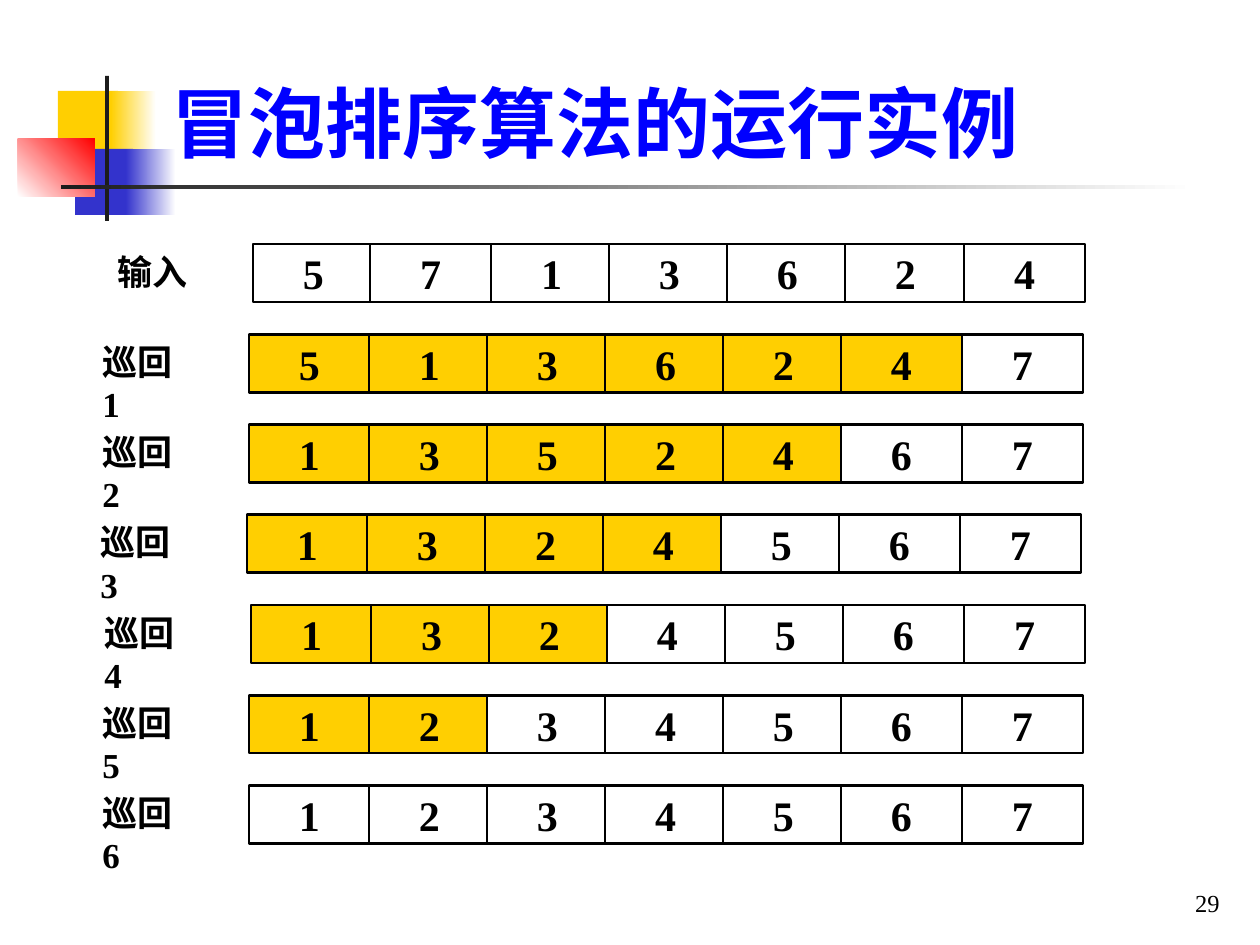
import pptx
import pptx.dml.color
import pptx.enum.shapes
import pptx.enum.text
import pptx.util

PX = 914400 // 126
FONT = "Times New Roman"
BLACK, WHITE, DARK = "000000", "FFFFFF", "1C1C1C"
YELLOW, BLUE, RED, TITLE_BLUE = "FFCF01", "3333CC", "FF0000", "0000FF"

CELL_WIDTH, CELL_HEIGHT = 121, 58
INPUT_OFFSETS = (0, 117, 238, 356, 474, 592, 711)
PASS_OFFSETS = (0, 120, 238, 356, 474, 592, 713)
ROWS_TOP, ROW_PITCH = 244, 90.25

# Label, values, number of values still unsorted, left edge of the cells
ROWS = [
    ("输入", "5713624", 0, 253),
    ("巡回1", "5136247", 6, 249),
    ("巡回2", "1352467", 5, 249),
    ("巡回3", "1324567", 4, 247),
    ("巡回4", "1324567", 3, 251),
    ("巡回5", "1234567", 2, 249),
    ("巡回6", "1234567", 0, 249),
]

# Left, top, width, height, start colour, end colour, angle
ORNAMENT = [
    (0, 15, 60, 66, YELLOW, None, 0),
    (53, 15, 45, 66, YELLOW, WHITE, 0),
    (17, 73, 58, 66, BLUE, None, 0),
    (68, 73, 50, 66, BLUE, WHITE, 0),
    (-40, 63, 77, 58, WHITE, RED, 45),
    (47, 0, 4, 145, DARK, None, 0),
    (3, 109, 1134, 4, DARK, WHITE, 0),
]


def color(code):
    return pptx.dml.color.RGBColor.from_string(code)


def place(*lengths):
    return [round(length * PX) for length in lengths]


def write(box, text, size, code=BLACK, bold=True, align="LEFT", anchor="TOP"):
    frame = box.text_frame
    frame.word_wrap = True
    frame.vertical_anchor = getattr(pptx.enum.text.MSO_ANCHOR, anchor)
    frame.text = text
    para = frame.paragraphs[0]
    para.alignment = getattr(pptx.enum.text.PP_ALIGN, align)
    para.font.name = FONT
    para.font.size = pptx.util.Pt(size)
    para.font.bold = bold
    para.font.color.rgb = color(code)


def add_rectangle(shapes, left, top, width, height):
    box = shapes.add_shape(
        pptx.enum.shapes.MSO_SHAPE.RECTANGLE, *place(left, top, width, height))
    box.shadow.inherit = False
    return box


def add_ornament(page, left, top):
    for x, y, width, height, start, end, angle in ORNAMENT:
        box = add_rectangle(page.shapes, left + x, top + y, width, height)
        box.line.fill.background()
        if end is None:
            box.fill.solid()
            box.fill.fore_color.rgb = color(start)
            continue
        box.fill.gradient()
        box.fill.gradient_angle = angle
        for stop, code in zip(box.fill.gradient_stops, (start, end)):
            stop.color.rgb = color(code)


def add_title(page, text, left, top, width, height):
    title = page.shapes.title
    title.left, title.top, title.width, title.height = place(left, top, width, height)
    write(title, text, 44, TITLE_BLUE, anchor="BOTTOM")


def add_page_number(page, number, left, top, width, height):
    box = page.shapes.add_textbox(*place(left, top, width, height))
    write(box, number, 14, bold=False, align="RIGHT", anchor="BOTTOM")


def add_row(page, label, values, unsorted, left, top, is_input):
    """Group one state of the list with the label on its left."""
    group = page.shapes.add_group_shape()
    offsets = INPUT_OFFSETS if is_input else PASS_OFFSETS
    for index, (value, offset) in enumerate(zip(values, offsets)):
        cell = add_rectangle(group.shapes, left + offset, top, CELL_WIDTH, CELL_HEIGHT)
        cell.fill.solid()
        cell.fill.fore_color.rgb = color(YELLOW if index < unsorted else WHITE)
        cell.line.color.rgb = color(BLACK)
        cell.line.width = pptx.util.Pt(1.5)
        write(cell, value, 24, align="CENTER", anchor="MIDDLE")
    gap, width = (148, 97) if is_input else (159, 115)
    box = group.shapes.add_textbox(*place(left - gap, top, width, 55))
    write(box, label, 20)
    if not is_input:
        box.text_frame.margin_right = 18 * PX  # the pass number goes on its own line


def main():
    deck = pptx.Presentation()
    deck.slide_width, deck.slide_height = place(1260, 945)
    page = deck.slides.add_slide(deck.slide_layouts[5])
    add_ornament(page, 58, 76)
    add_title(page, "冒泡排序算法的运行实例", 159, 29, 1074, 145)
    add_page_number(page, "29", 970, 861, 262, 63)
    for index, (label, values, unsorted, left) in enumerate(ROWS):
        add_row(page, label, values, unsorted, left,
                ROWS_TOP + index * ROW_PITCH, index == 0)
    deck.save("out.pptx")


if __name__ == "__main__":
    main()
